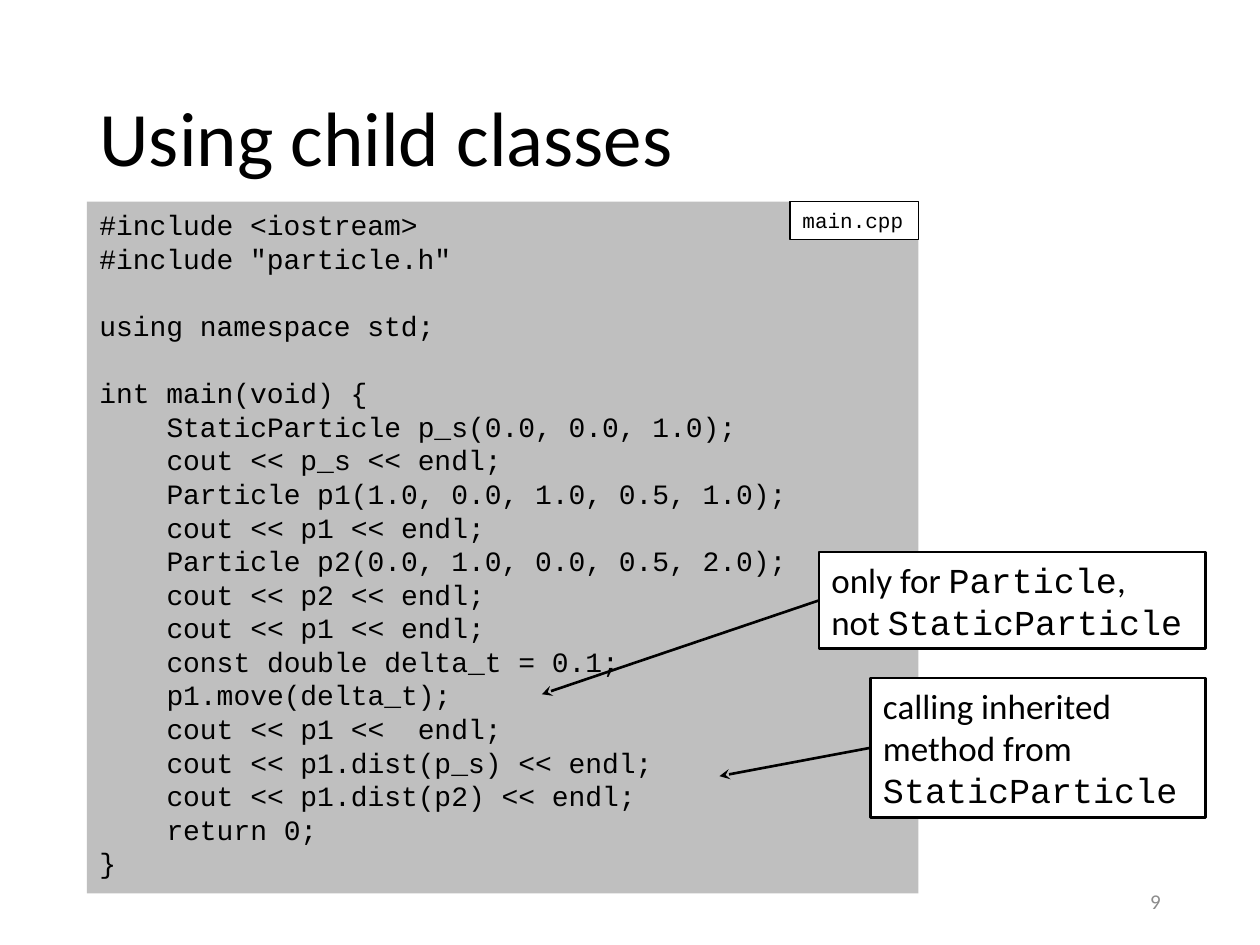
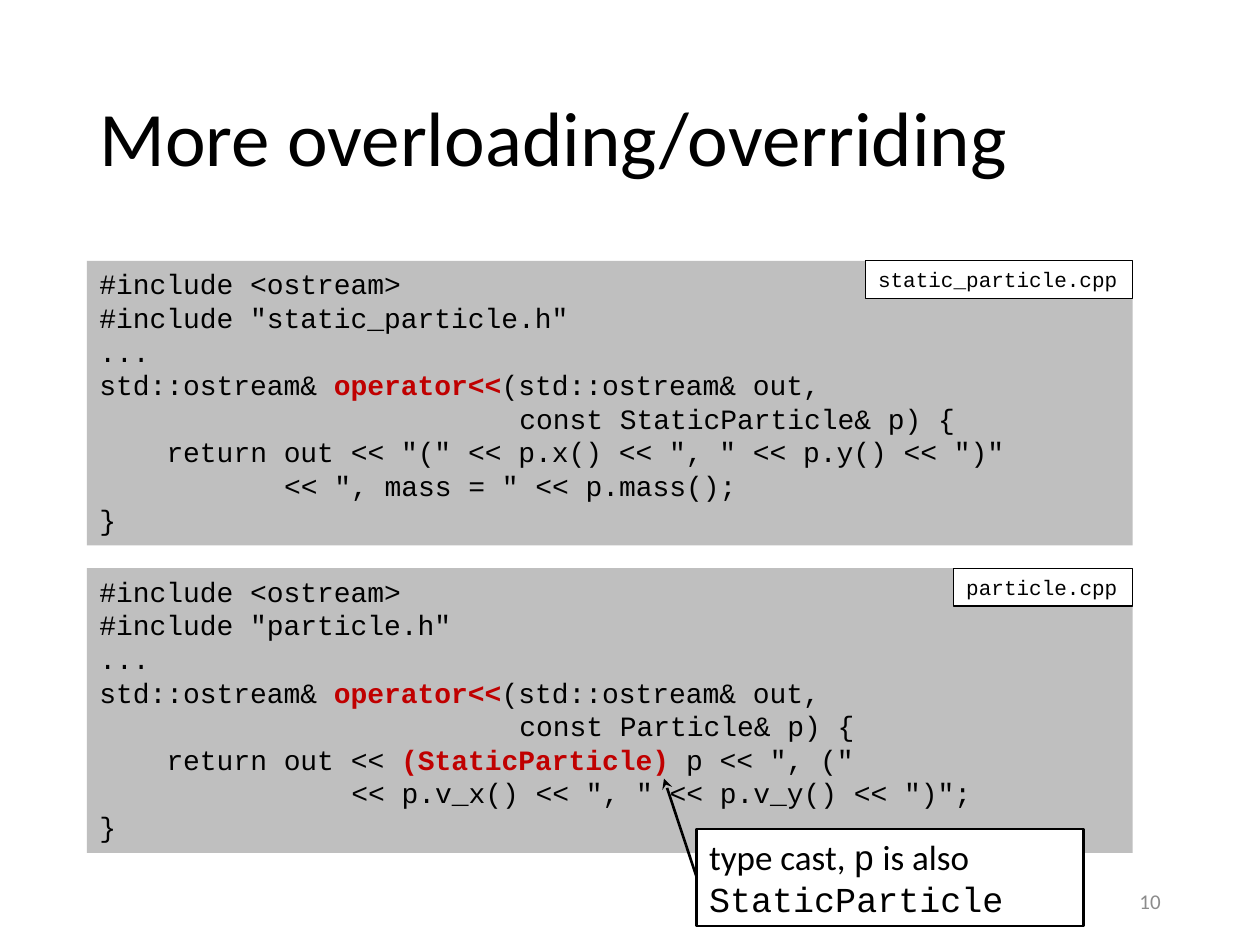
from dataclasses import dataclass

from lxml import etree
from pptx import Presentation
from pptx import util as u
from pptx.dml import color as dml
from pptx.enum import shapes, text
from pptx.oxml import ns

PX = 9144  # EMU per px, 100 px to the inch
SANS, MONO = "Calibri", "Courier New"
BLACK, WHITE, GREY, CODE_GREY, RED = "000000", "FFFFFF", "8C8C8C", "BFBFBF", "C00000"
CODE_SIZE, LINE_PITCH, MONO_ADVANCE = 16, 1.2, 0.6
BLOCK_LEFT = 69
TITLE_ONLY = 5


@dataclass
class CodeBlock:
    file_name: str
    top: int
    width: int
    height: int
    code: str


@dataclass
class Callout:
    note: str
    left: int
    top: int
    width: int
    height: int
    target: tuple[int, int]


@dataclass
class Page:
    number: int
    title: str
    blocks: list[CodeBlock]
    callouts: list[Callout]


MAIN_CODE = """#include <iostream>
#include "particle.h"

using namespace std;

int main(void) {
    StaticParticle p_s(0.0, 0.0, 1.0);
    cout << p_s << endl;
    Particle p1(1.0, 0.0, 1.0, 0.5, 1.0);
    cout << p1 << endl;
    Particle p2(0.0, 1.0, 0.0, 0.5, 2.0);
    cout << p2 << endl;
    cout << p1 << endl;
    const double delta_t = 0.1;
    p1.move(delta_t);
    cout << p1 <<  endl;
    cout << p1.dist(p_s) << endl;
    cout << p1.dist(p2) << endl;
    return 0;
}"""

STATIC_PARTICLE_CODE = """#include <ostream>
#include "static_particle.h"
...
std::ostream& `operator<<`(std::ostream& out,
                         const StaticParticle& p) {
    return out << "(" << p.x() << ", " << p.y() << ")"
           << ", mass = " << p.mass();
}"""

PARTICLE_CODE = """#include <ostream>
#include "particle.h"
...
std::ostream& `operator<<`(std::ostream& out,
                         const Particle& p) {
    return out << `(StaticParticle)` p << ", ("
               << p.v_x() << ", " << p.v_y() << ")";
}"""

PAGES = [
    Page(9, "Using child classes",
         [CodeBlock("main.cpp", 160, 660, 549, MAIN_CODE)],
         [Callout("calling inherited\nmethod from\n`StaticParticle`",
                  691, 538, 266, 111, (571, 616)),
          Callout("only for `Particle`,\nnot `StaticParticle`",
                  650, 438, 307, 77, (430, 551))]),
    Page(10, "More overloading/overriding",
         [CodeBlock("static_particle.cpp", 207, 830, 226, STATIC_PARTICLE_CODE),
          CodeBlock("particle.cpp", 451, 830, 226, PARTICLE_CODE)],
         [Callout("type cast, `p` is also\n`StaticParticle`",
                  553, 658, 307, 77, (527, 618))]),
]


def rgb(value: str) -> dml.RGBColor:
    return dml.RGBColor.from_string(value)


def px(*lengths: int) -> list[u.Emu]:
    return [u.Emu(length * PX) for length in lengths]


def write(frame, content: str, *, size: int, font: str = SANS, color: str = BLACK,
          align=text.PP_ALIGN.LEFT, spacing: float | None = None,
          marked_font: str | None = None, marked_color: str | None = None,
          marked_bold: bool = False) -> None:
    """Write one paragraph a line; backticks enclose marked words.

    Leading spaces become an indent, an empty line becomes space before the next.
    """
    paragraph, skipped = None, 0
    for line in content.split("\n"):
        if not line:
            skipped += 1
            continue
        paragraph = frame.add_paragraph() if paragraph else frame.paragraphs[0]
        paragraph.alignment = align
        if spacing:
            paragraph.line_spacing = spacing
        if skipped:
            paragraph.space_before = u.Pt(skipped * size * LINE_PITCH)
            skipped = 0
        words = line.lstrip(" ")
        indent = len(line) - len(words)
        if indent:
            properties = paragraph._p.get_or_add_pPr()
            properties.set("marL", str(int(u.Pt(indent * size * MONO_ADVANCE))))
            properties.set("indent", "0")
        for index, part in enumerate(words.split("`")):
            if not part:
                continue
            marked = index % 2 == 1
            run = paragraph.add_run()
            run.text = part
            run.font.size = u.Pt(size)
            run.font.name = marked_font if marked and marked_font else font
            run.font.color.rgb = rgb(marked_color if marked and marked_color else color)
            run.font.bold = marked and marked_bold


def add_panel(slide, left: int, top: int, width: int, height: int, *,
              fill: str, line_width: float = 0, wrap: bool = True):
    panel = slide.shapes.add_shape(shapes.MSO_SHAPE.RECTANGLE,
                                   *px(left, top, width, height))
    panel.shadow.inherit = False
    panel.fill.solid()
    panel.fill.fore_color.rgb = rgb(fill)
    if line_width:
        panel.line.color.rgb = rgb(BLACK)
        panel.line.width = u.Pt(line_width)
    else:
        panel.line.fill.background()
    frame = panel.text_frame
    frame.word_wrap = wrap
    frame.auto_size = text.MSO_AUTO_SIZE.SHAPE_TO_FIT_TEXT
    frame.vertical_anchor = text.MSO_ANCHOR.TOP
    return panel


def add_code_block(slide, block: CodeBlock) -> None:
    listing = add_panel(slide, BLOCK_LEFT, block.top, block.width, block.height,
                        fill=CODE_GREY)
    write(listing.text_frame, block.code, size=CODE_SIZE, font=MONO,
          marked_color=RED, marked_bold=True)
    tag_width = 10 * len(block.file_name) + 22
    tag = add_panel(slide, BLOCK_LEFT + block.width - tag_width, block.top,
                    tag_width, 30, fill=WHITE, line_width=0.75, wrap=False)
    write(tag.text_frame, block.file_name, size=12, font=MONO)


def add_callout(slide, callout: Callout) -> None:
    note = add_panel(slide, callout.left, callout.top, callout.width, callout.height,
                     fill=WHITE, line_width=1.5)
    write(note.text_frame, callout.note, size=20, marked_font=MONO)
    arrow = slide.shapes.add_connector(
        shapes.MSO_CONNECTOR.STRAIGHT,
        *px(callout.left, callout.top + callout.height // 2, *callout.target))
    arrow.begin_connect(note, 1)
    arrow.line.color.rgb = rgb(BLACK)
    arrow.line.width = u.Pt(1.5)
    properties = arrow._element.spPr
    etree.SubElement(properties.get_or_add_ln(), ns.qn("a:tailEnd"), type="stealth")
    etree.SubElement(properties, ns.qn("a:effectLst"))


def add_heading(slide, page: Page) -> None:
    """Fill the title and put the page number at the lower right."""
    title = slide.shapes.title
    title.left, title.top, title.width, title.height = px(69, 40, 862, 145)
    title.text_frame.vertical_anchor = text.MSO_ANCHOR.MIDDLE
    write(title.text_frame, page.title, size=44, spacing=0.9)
    number = slide.shapes.add_textbox(*px(706, 695, 225, 40)).text_frame
    number.word_wrap = True
    number.vertical_anchor = text.MSO_ANCHOR.MIDDLE
    write(number, str(page.number), size=12, color=GREY, align=text.PP_ALIGN.RIGHT)


def main() -> None:
    deck = Presentation()
    deck.slide_width, deck.slide_height = px(1000, 750)
    for page in PAGES:
        slide = deck.slides.add_slide(deck.slide_layouts[TITLE_ONLY])
        add_heading(slide, page)
        for block in page.blocks:
            add_code_block(slide, block)
        for callout in page.callouts:
            add_callout(slide, callout)
    deck.save("out.pptx")


if __name__ == "__main__":
    main()
